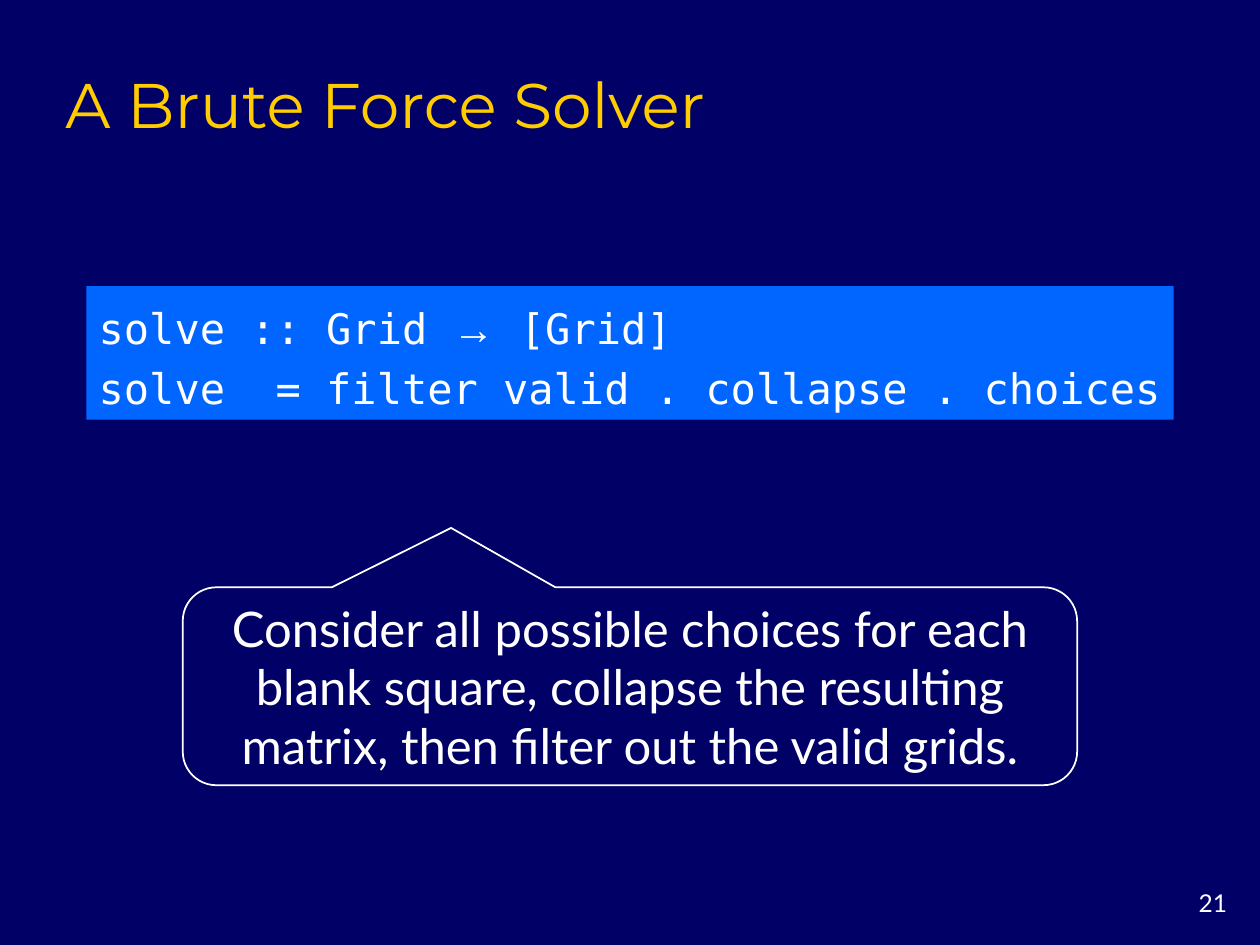
from dataclasses import dataclass

import pptx
import pptx.dml.color
import pptx.enum.shapes
import pptx.enum.text
import pptx.util
from pptx.enum.shapes import MSO_SHAPE
from pptx.enum.text import MSO_ANCHOR, MSO_AUTO_SIZE, PP_ALIGN
from pptx.util import Cm

SLIDE_WIDTH, SLIDE_HEIGHT = Cm(25.4), Cm(19.05)


@dataclass(frozen=True)
class Theme:
    background: str = "000066"
    heading: str = "FFCC00"
    code_fill: str = "0066FF"
    text: str = "FFFFFF"
    heading_font: str = "Montserrat"
    body_font: str = "Lato"
    code_font: str = "DejaVu Sans Mono"
    symbol_font: str = "Arial"
    heading_size: int = 36
    body_size: int = 28
    code_size: int = 24
    number_size: int = 14


@dataclass(frozen=True)
class TextStyle:
    font: str
    size: int
    color: str
    align: PP_ALIGN = PP_ALIGN.LEFT
    anchor: MSO_ANCHOR = MSO_ANCHOR.MIDDLE
    line_spacing: float = 1.0
    wrap: bool = True


THEME = Theme()
HEADING = TextStyle(THEME.heading_font, THEME.heading_size, THEME.heading,
                    anchor=MSO_ANCHOR.BOTTOM)
CODE = TextStyle(THEME.code_font, THEME.code_size, THEME.text,
                 line_spacing=1.2, wrap=False)
EXPLANATION = TextStyle(THEME.body_font, THEME.body_size, THEME.text,
                        align=PP_ALIGN.CENTER)
NUMBER = TextStyle(THEME.body_font, THEME.number_size, THEME.text,
                   align=PP_ALIGN.RIGHT, anchor=MSO_ANCHOR.TOP)


def rgb(color: str) -> pptx.dml.color.RGBColor:
    return pptx.dml.color.RGBColor.from_string(color)


def write(shape, lines: list[list[str]], style: TextStyle) -> None:
    """Write one paragraph per line; each line is a list of runs."""
    frame = shape.text_frame
    frame.word_wrap = style.wrap
    frame.auto_size = MSO_AUTO_SIZE.NONE
    frame.vertical_anchor = style.anchor
    for index, pieces in enumerate(lines):
        paragraph = frame.paragraphs[0] if index == 0 else frame.add_paragraph()
        paragraph.alignment = style.align
        paragraph.line_spacing = style.line_spacing
        paragraph.font.name = style.font
        paragraph.font.size = pptx.util.Pt(style.size)
        paragraph.font.color.rgb = rgb(style.color)
        for piece in pieces:
            run = paragraph.add_run()
            run.text = piece
            if piece == "→":
                run.font.name = THEME.symbol_font


def add_centred_shape(slide, kind: MSO_SHAPE, top: int, width: int, height: int):
    """Add a shape in the middle of the slide's width."""
    left = (SLIDE_WIDTH - width) // 2
    shape = slide.shapes.add_shape(kind, left, top, width, height)
    shape.shadow.inherit = False
    return shape


def main() -> None:
    deck = pptx.Presentation()
    deck.slide_width, deck.slide_height = SLIDE_WIDTH, SLIDE_HEIGHT
    slide = deck.slides.add_slide(deck.slide_layouts[6])
    slide.background.fill.solid()
    slide.background.fill.fore_color.rgb = rgb(THEME.background)

    # Heading
    heading = slide.shapes.add_textbox(Cm(1.07), Cm(1.07), Cm(21.59), Cm(1.9))
    write(heading, [["A Brute Force Solver"]], HEADING)

    # Solver code
    solver = add_centred_shape(slide, MSO_SHAPE.RECTANGLE,
                               Cm(5.77), Cm(21.92), Cm(2.69))
    solver.fill.solid()
    solver.fill.fore_color.rgb = rgb(THEME.code_fill)
    solver.line.fill.background()
    write(solver, [["solve :: Grid ", "→", " [Grid]"],
                   ["solve  = filter valid . collapse . choices"]], CODE)

    # Explanation pointing up at the code
    explanation = add_centred_shape(slide, MSO_SHAPE.ROUNDED_RECTANGULAR_CALLOUT,
                                    Cm(11.84), Cm(18.03), Cm(3.99))
    explanation.adjustments[0] = -0.2
    explanation.adjustments[1] = -0.8
    explanation.adjustments[2] = 0.17
    explanation.fill.background()
    explanation.line.color.rgb = rgb(THEME.text)
    explanation.line.width = pptx.util.Pt(1)
    write(explanation, [["Consider all possible choices for each blank square, "
                         "collapse the resulting matrix, then filter out the "
                         "valid grids."]], EXPLANATION)

    # Slide number
    number = slide.shapes.add_textbox(Cm(23.29), Cm(17.78), Cm(1.7), Cm(0.84))
    write(number, [["21"]], NUMBER)

    deck.save("out.pptx")


if __name__ == "__main__":
    main()
